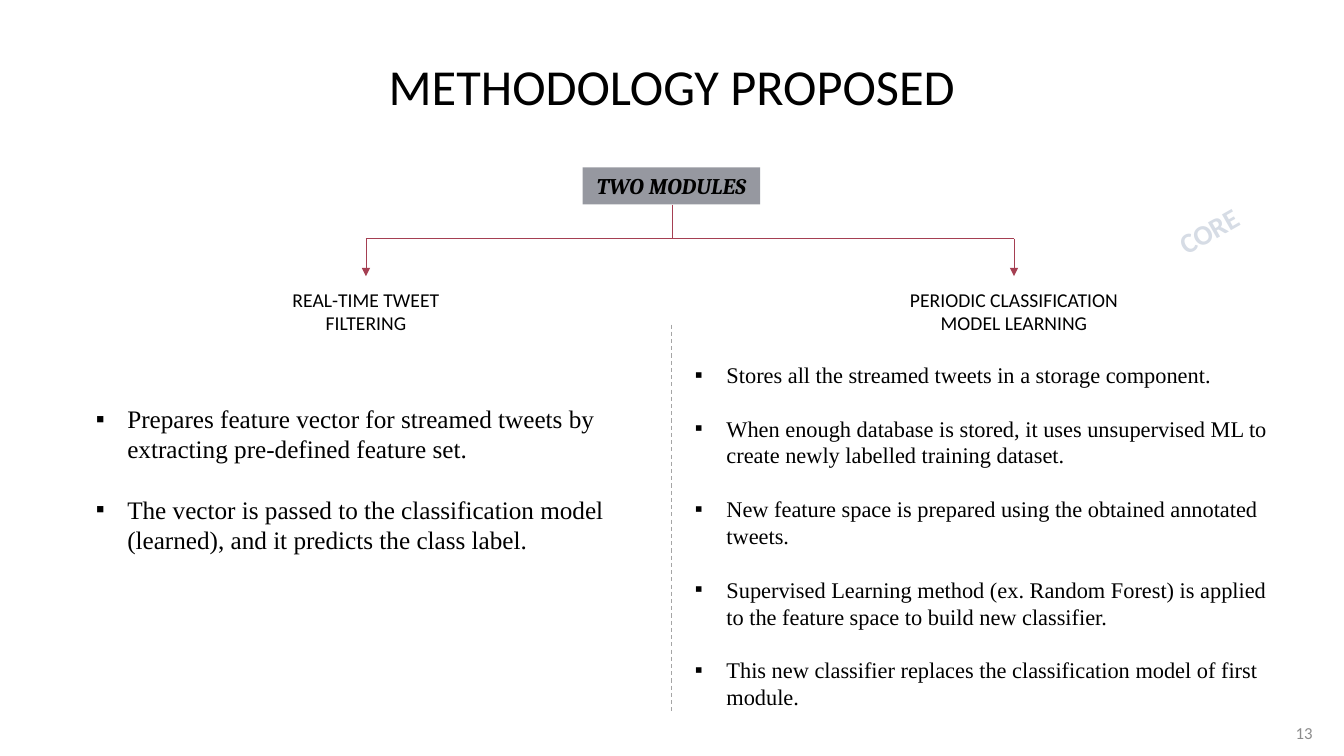
from dataclasses import dataclass
from lxml import etree
from pptx import Presentation
from pptx import util as u
from pptx.dml.color import RGBColor
from pptx.enum import dml, shapes, text
from pptx.oxml import ns


@dataclass(frozen=True)
class Theme:
    """Colours, fonts and type sizes of the slide."""
    ink: str = "000000"
    rose: str = "A53F52"
    slate: str = "2F3342"
    gray: str = "8C8C8C"
    rule: str = "A5A5A5"
    pale: str = "D6DCE5"
    sans: str = "Calibri"
    serif: str = "Times New Roman"
    label: str = "Cambria"
    head: int = 36
    stamp: int = 20
    large: int = 18
    mid: int = 16
    small: int = 14
    note: int = 12


class Deck:
    """Draws elements on one slide in one style."""

    def __init__(self, theme):
        """Open a wide slide with a title and two lists."""
        self.theme = theme
        self.file = Presentation()
        self.file.slide_width, self.file.slide_height = u.Pt(960), u.Pt(540)
        self.slide = self.file.slides.add_slide(self.file.slide_layouts[3])

    def tag(self, parent, name, **attrs):
        """Add a drawing element below a parent."""
        return etree.SubElement(parent, ns.qn(name), attrs)

    def place(self, shape, box):
        """Move and size a shape."""
        for key, val in zip(("left", "top", "width", "height"), box):
            setattr(shape, key, u.Pt(val))

    def frame(self, shape, **form):
        """Format a text frame and return it."""
        base = dict(word_wrap=True, auto_size=text.MSO_AUTO_SIZE.NONE,
                    vertical_anchor=text.MSO_ANCHOR.TOP)
        for key, val in (base | form).items():
            setattr(shape.text_frame, key, val)
        return shape.text_frame

    def run(self, para, words, size, color=None, face=None, **form):
        """Add a formatted run to a paragraph."""
        run = para.add_run()
        run.text = words
        base = dict(size=u.Pt(size), name=face or self.theme.sans)
        for key, val in (base | form).items():
            setattr(run.font, key, val)
        run.font.color.rgb = RGBColor.from_string(color or self.theme.ink)

    def title(self, box, words):
        """Fill the title placeholder."""
        shape = self.slide.shapes.title
        self.place(shape, box)
        para = self.frame(shape, vertical_anchor=text.MSO_ANCHOR.MIDDLE).paragraphs[0]
        para.alignment = text.PP_ALIGN.CENTER
        self.run(para, words, self.theme.head)

    def list(self, slot, box, size, items):
        """Fill a body placeholder with bulleted items."""
        shape = self.slide.placeholders[slot]
        self.place(shape, box)
        frame = self.frame(shape)
        for num, item in enumerate(items):
            para = frame.add_paragraph() if num else frame.paragraphs[0]
            props = para._p.get_or_add_pPr()
            props.set("marL", str(u.Pt(22.5)))
            props.set("indent", str(u.Pt(-22.5)))
            self.tag(props, "a:buFont", typeface="Arial")
            self.tag(props, "a:buChar", char="▪")
            para.space_before = u.Pt(size * 1.2 if num else 0)
            self.run(para, item, size, face=self.theme.serif)

    def label(self, box, lines, size, color=None, align="CENTER", turn=0, form=None, **font):
        """Add a text box with one paragraph per line."""
        shape = self.slide.shapes.add_textbox(*map(u.Pt, box))
        shape.rotation = turn
        frame = self.frame(shape, **(form or {}))
        for num, line in enumerate(lines):
            para = frame.add_paragraph() if num else frame.paragraphs[0]
            para.alignment = text.PP_ALIGN[align]
            self.run(para, line, size, color, **font)

    def block(self, box, words):
        """Add a half-clear rectangle with a heading."""
        shape = self.slide.shapes.add_shape(shapes.MSO_SHAPE.RECTANGLE, *map(u.Pt, box))
        shape.shadow.inherit = False
        shape.line.fill.background()
        shape.fill.solid()
        shape.fill.fore_color.rgb = RGBColor.from_string(self.theme.slate)
        color = shape._element.spPr.find(".//" + ns.qn("a:srgbClr"))
        self.tag(color, "a:alpha", val="50000")
        para = self.frame(shape, vertical_anchor=text.MSO_ANCHOR.MIDDLE,
                          word_wrap=False).paragraphs[0]
        para.alignment = text.PP_ALIGN.CENTER
        self.run(para, words, self.theme.mid, face=self.theme.label, bold=True, italic=True)

    def line(self, ends, color, width=0.5, dash=None, arrow=False):
        """Add a straight line, dashed or with an arrowhead."""
        link = self.slide.shapes.add_connector(shapes.MSO_CONNECTOR.STRAIGHT, *map(u.Pt, ends))
        link.line.color.rgb = RGBColor.from_string(color)
        link.line.width = u.Pt(width)
        if dash:
            link.line.dash_style = dash
        if arrow:
            self.tag(link.line._get_or_add_ln(), "a:tailEnd", type="triangle")
        self.tag(link._element.spPr, "a:effectLst")


def main():
    """Build and save the methodology slide."""
    theme = Theme()
    deck = Deck(theme)

    deck.title((46.8, 28.8, 866.2, 64.8), "METHODOLOGY PROPOSED")
    deck.block((416.2, 119.5, 126.7, 26.6), "TWO MODULES")

    axis, fork, tip = 480, 170.4, 197.3
    arms = {261.4: ("REAL-TIME TWEET", "FILTERING"),
            724.3: ("PERIODIC CLASSIFICATION", "MODEL LEARNING")}
    deck.line((axis, 146.1, axis, fork), theme.rose)
    deck.line((min(arms), fork, max(arms), fork), theme.rose)
    for x, lines in arms.items():
        deck.line((x, fork, x, tip), theme.rose, arrow=True)
        deck.label((x - 82, 202, 164, 41), lines, theme.small, form=dict(word_wrap=False))
    deck.line((axis, 231.8, axis, 509), theme.rule, 0.75, dml.MSO_LINE.DASH)

    deck.list(1, (61.2, 284.4, 400.3, 116.6), theme.large, (
        "Prepares feature vector for streamed tweets by extracting pre-defined feature set.",
        "The vector is passed to the classification model (learned), and it predicts the class label.",
    ))
    deck.list(2, (489.2, 254.2, 424.1, 259.2), theme.mid, (
        "Stores all the streamed tweets in a storage component.",
        "When enough database is stored, it uses unsupervised ML to create newly labelled training dataset.",
        "New feature space is prepared using the obtained annotated tweets.",
        "Supervised Learning method (ex. Random Forest) is applied to the feature space to build new classifier.",
        "This new classifier replaces the classification model of first module.",
    ))

    deck.label((824.4, 149, 77.8, 31.7), ["CORE"], theme.stamp, theme.pale,
               turn=330.4, bold=True)
    deck.label((909.4, 509, 35.3, 28.8), ["13"], theme.note, theme.gray, "RIGHT",
               form=dict(vertical_anchor=text.MSO_ANCHOR.MIDDLE))
    deck.file.save("out.pptx")


if __name__ == "__main__":
    main()
